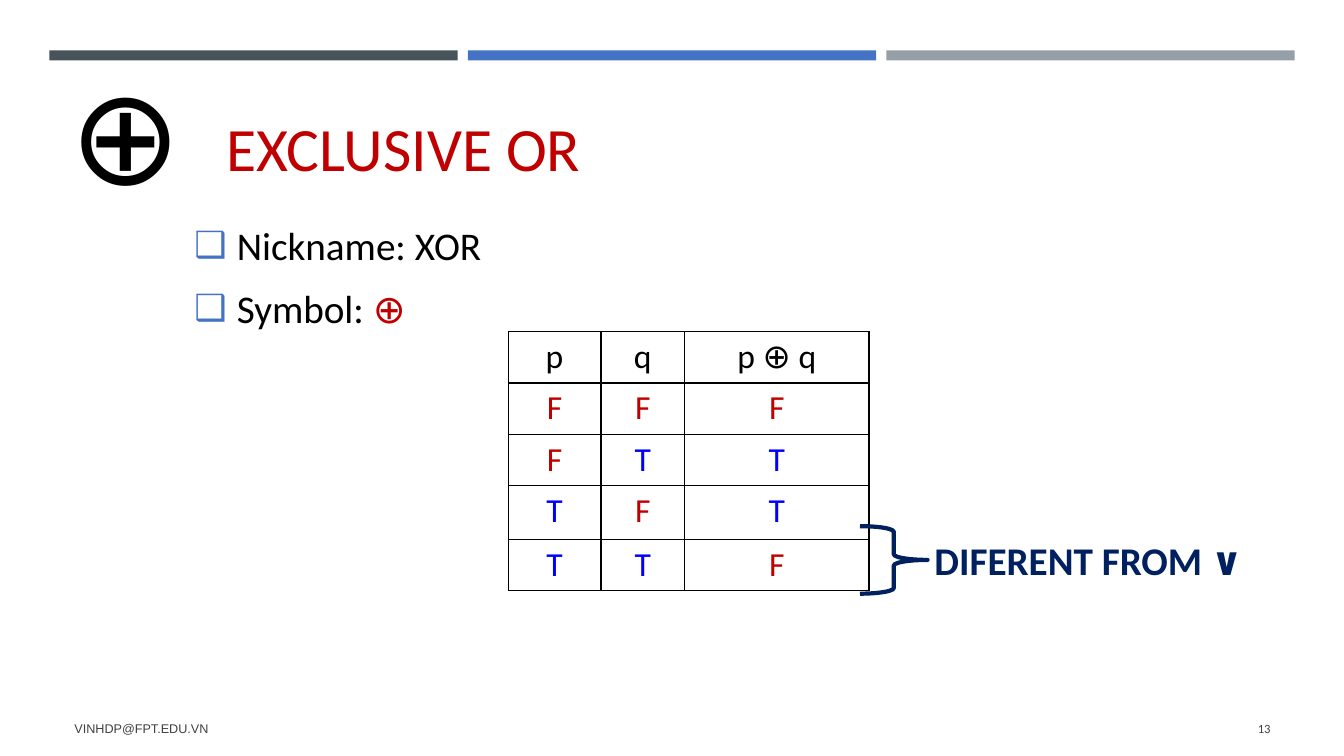
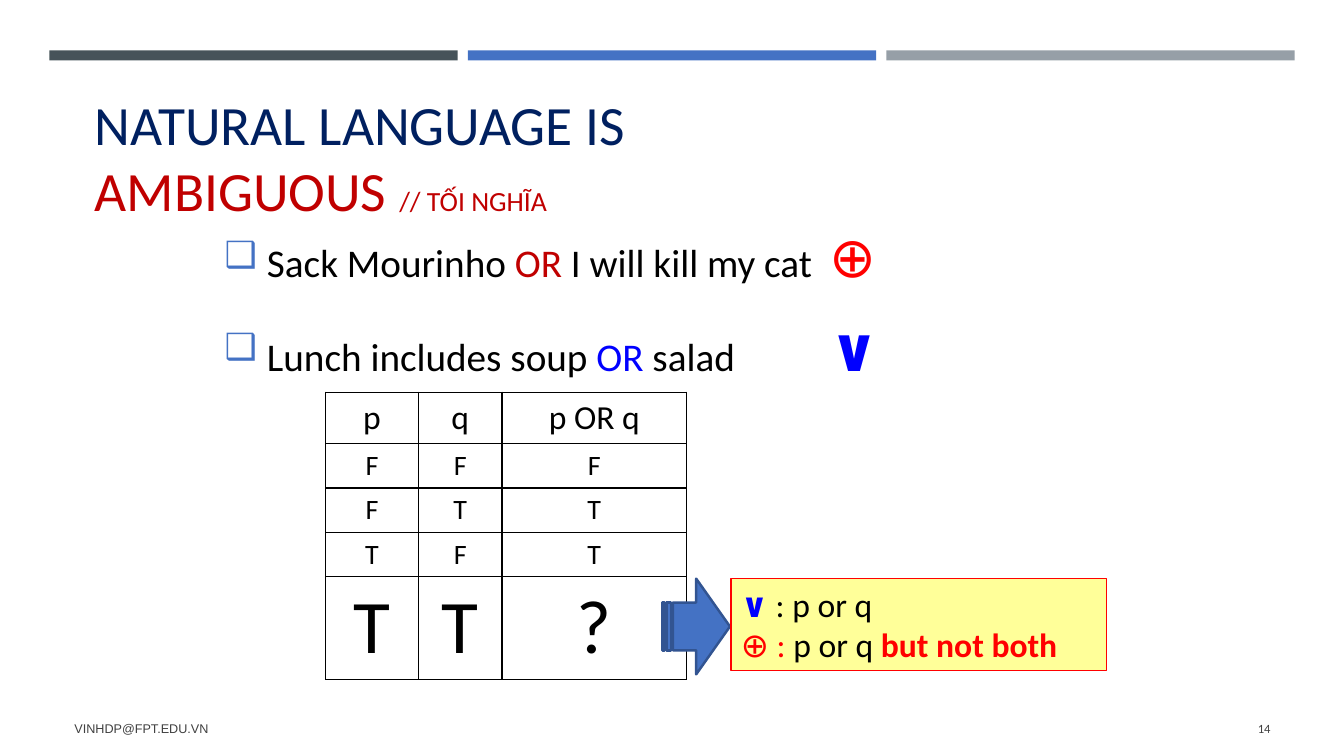
"""Build two slides on exclusive or and the ambiguity of natural language."""
from dataclasses import dataclass
from typing import Any, Optional

from lxml import etree
from pptx import Presentation
from pptx import util as u
from pptx.dml.color import RGBColor
from pptx.enum import shapes, text
from pptx.oxml import ns


@dataclass(frozen=True)
class Theme:
    font: str = "Calibri"
    footer_font: str = "Arial"
    black: str = "000000"
    grey: str = "404040"
    slate: str = "465359"
    silver: str = "969FA7"
    accent: str = "4472C4"
    accent_dark: str = "325491"
    navy: str = "002060"
    crimson: str = "C00000"
    red: str = "FF0000"
    blue: str = "0000FF"
    yellow: str = "FFFF99"
    title: float = 44
    long_title: float = 39.6
    title_note: float = 19.8
    body: float = 28
    cell: float = 24
    small_cell: float = 20
    question: float = 54
    or_symbol: float = 44
    xor_symbol: float = 40
    emblem: float = 96
    footer: float = 9


THEME = Theme()


@dataclass(frozen=True)
class Box:
    left: float
    top: float
    width: float
    height: float

    def lengths(self) -> tuple:
        return tuple(u.Inches(v) for v in (self.left, self.top, self.width, self.height))


@dataclass(frozen=True)
class Span:
    words: str
    color: str = THEME.black
    size: Optional[float] = None
    bold: bool = False


@dataclass(frozen=True)
class Row:
    cells: str
    height: float
    size: float


CENTER = text.PP_ALIGN.CENTER
TOP, MIDDLE, BOTTOM = text.MSO_ANCHOR.TOP, text.MSO_ANCHOR.MIDDLE, text.MSO_ANCHOR.BOTTOM
BANDS = (THEME.slate, THEME.accent, THEME.silver)
COLUMNS = (0.92, 0.83, 1.83)
TRUTH_COLORS = {"F": THEME.crimson, "T": THEME.blue}


def rgb(color: str) -> RGBColor:
    return RGBColor.from_string(color)


def add_bullet(para: Any, tab: Optional[float]) -> None:
    """Give a paragraph a hanging square bullet and an optional tab stop."""
    properties = para._p.get_or_add_pPr()
    properties.set("marL", str(u.Inches(0.42)))
    properties.set("indent", str(-u.Inches(0.42)))

    def child(parent: Any, tag: str, **attributes: str) -> Any:
        return etree.SubElement(parent, ns.qn(tag), **attributes)

    child(child(properties, "a:buClr"), "a:srgbClr", val=THEME.accent)
    child(properties, "a:buSzPct", val="92000")
    child(properties, "a:buFont", typeface=THEME.font)
    child(properties, "a:buChar", char="❑")
    if tab is not None:
        child(child(properties, "a:tabLst"), "a:tab", pos=str(u.Inches(tab)), algn="l")


def write(frame: Any, paras: list[list[Span]], *, size: float, font: str = THEME.font,
          align: Any = text.PP_ALIGN.LEFT, anchor: Any = TOP, wrap: bool = True,
          inset_top: float = 0.05, inset_bottom: float = 0.05, bullet: bool = False,
          tab: Optional[float] = None, before: float = 0, after: float = 0) -> None:
    """Fill a text frame with formatted paragraphs."""
    frame.auto_size = text.MSO_AUTO_SIZE.NONE
    frame.word_wrap = wrap
    frame.vertical_anchor = anchor
    frame.margin_top, frame.margin_bottom = u.Inches(inset_top), u.Inches(inset_bottom)
    for index, spans in enumerate(paras):
        para = frame.add_paragraph() if index else frame.paragraphs[0]
        if bullet:
            add_bullet(para, tab)
        para.alignment = align
        para.space_before = u.Pt(before if index else 0)
        para.space_after = u.Pt(after)
        for span in spans:
            run = para.add_run()
            run.text = span.words
            run.font.name = font
            run.font.size = u.Pt(span.size or size)
            run.font.bold = span.bold
            run.font.color.rgb = rgb(span.color)


def add_text(owner: Any, box: Box, paras: list[list[Span]], **style: Any) -> None:
    write(owner.shapes.add_textbox(*box.lengths()).text_frame, paras, **style)


def add_shape(owner: Any, kind: Any, box: Box, *, fill: Optional[str] = None,
              line: Optional[str] = None, weight: float = 1) -> Any:
    """Draw a preset shape without shadow."""
    shape = owner.shapes.add_shape(kind, *box.lengths())
    shape.shadow.inherit = False
    if fill:
        shape.fill.solid()
        shape.fill.fore_color.rgb = rgb(fill)
    else:
        shape.fill.background()
    if line:
        shape.line.color.rgb = rgb(line)
        shape.line.width = u.Pt(weight)
    else:
        shape.line.fill.background()
    return shape


def add_borders(cell: Any) -> None:
    """Draw a thin black line on the four sides of a cell."""
    properties = cell._tc.get_or_add_tcPr()
    for index, side in enumerate(("lnL", "lnR", "lnT", "lnB")):
        line = etree.Element(ns.qn(f"a:{side}"), w=str(u.Pt(1)))
        fill = etree.SubElement(line, ns.qn("a:solidFill"))
        etree.SubElement(fill, ns.qn("a:srgbClr"), val=THEME.black)
        properties.insert(index, line)


def add_truth_table(slide: Any, left: float, top: float, result: str, rows: list[Row],
                    colors: dict[str, str]) -> None:
    """Draw a truth table whose header names p, q and the result."""
    height = sum(row.height for row in rows)
    box = Box(left, top, sum(COLUMNS), height)
    table = slide.shapes.add_table(len(rows), len(COLUMNS), *box.lengths()).table
    table.first_row = table.horz_banding = False
    for column, width in zip(table.columns, COLUMNS):
        column.width = u.Inches(width)
    for index, row in enumerate(rows):
        table.rows[index].height = u.Inches(row.height)
        for cell, words in zip(table.rows[index].cells, row.cells or ("p", "q", result)):
            cell.fill.background()
            add_borders(cell)
            cell.margin_top = cell.margin_bottom = u.Inches(0.05)
            span = Span(words, colors.get(words, THEME.black))
            write_cell(cell, span, row.size)


def write_cell(cell: Any, span: Span, size: float) -> None:
    para = cell.text_frame.paragraphs[0]
    para.alignment = CENTER
    run = para.add_run()
    run.text = span.words
    run.font.name = THEME.font
    run.font.size = u.Pt(size)
    run.font.color.rgb = rgb(span.color)


def add_slide(deck: Any, number: int, box: Box, title: list[Span], **style: Any) -> Any:
    """Add a slide with its bands, title, footer and number."""
    slide = deck.slides.add_slide(deck.slide_layouts[5])
    for index, color in enumerate(BANDS):
        add_shape(slide, shapes.MSO_SHAPE.RECTANGLE,
                  Box(0.49 + 4.15 * index, 0.5, 4.05, 0.1), fill=color)
    heading = slide.shapes.title
    heading.left, heading.top, heading.width, heading.height = box.lengths()
    write(heading.text_frame, [title], anchor=BOTTOM, inset_top=0, inset_bottom=0, **style)
    add_text(slide, Box(0.64, 7.03, 7.56, 0.4), [[Span("VINHDP@FPT.EDU.VN", THEME.grey)]],
             size=THEME.footer, font=THEME.footer_font, anchor=MIDDLE)
    add_text(slide, Box(11.55, 7.03, 1.15, 0.4), [[Span(str(number), THEME.grey)]],
             size=THEME.footer, align=text.PP_ALIGN.RIGHT, anchor=MIDDLE)
    return slide


def build_exclusive_or(deck: Any) -> None:
    slide = add_slide(deck, 13, Box(0.23, 0.57, 7.68, 1.25),
                      [Span("EXCLUSIVE OR ", THEME.crimson)], size=THEME.title, align=CENTER)
    add_text(slide, Box(1.83, 1.71, 7.41, 3.84),
             [[Span("Nickname: XOR")], [Span("Symbol: "), Span("⊕", THEME.crimson)]],
             size=THEME.body, bullet=True, inset_top=0.49, before=5, after=6)
    heights = (0.51, 0.51, 0.51, 0.53, 0.51)
    rows = [Row(cells, height, THEME.cell)
            for cells, height in zip(("", "FFF", "FTT", "TFT", "TTF"), heights)]
    add_truth_table(slide, 5.04, 3.29, "p ⊕ q", rows, TRUTH_COLORS)
    remark = slide.shapes.add_group_shape()
    add_shape(remark, shapes.MSO_SHAPE.RIGHT_BRACE, Box(8.53, 5.22, 0.67, 0.67),
              line=THEME.navy, weight=3)
    add_text(remark, Box(9.17, 5.27, 3.26, 0.57),
             [[Span("DIFERENT FROM ∨", THEME.navy, bold=True)]], size=THEME.body, wrap=False)
    add_text(slide, Box(0.59, 0.45, 1.24, 1.72), [[Span("⊕")]], size=THEME.emblem, wrap=False)


def build_ambiguity(deck: Any) -> None:
    slide = add_slide(deck, 14, Box(0.84, 0.96, 6.31, 1.25),
                      [Span("NATURAL LANGUAGE IS ", THEME.navy),
                       Span("AMBIGUOUS ", THEME.crimson),
                       Span("// TỐI NGHĨA", THEME.crimson, THEME.title_note)],
                      size=THEME.long_title)
    add_text(slide, Box(2.13, 1.97, 9.37, 3.84),
             [[Span("Sack Mourinho "), Span("OR ", THEME.crimson),
               Span("I will kill my cat\t"), Span("⊕", THEME.red, THEME.xor_symbol)],
              [Span("Lunch includes soup "), Span("OR ", THEME.blue),
               Span("salad\t"), Span("∨", THEME.blue, THEME.or_symbol, True)]],
             size=THEME.body, bullet=True, tab=6, inset_top=0.23, before=9, after=6)
    rows = [Row("", 0.51, THEME.cell),
            *(Row(cells, 0.44, THEME.small_cell) for cells in ("FFF", "FTT", "TFT")),
            Row("TT?", 1.02, THEME.question)]
    add_truth_table(slide, 3.23, 3.89, "p OR q", rows, {})
    add_shape(slide, shapes.MSO_SHAPE.STRIPED_RIGHT_ARROW, Box(6.57, 5.74, 0.67, 0.95),
              fill=THEME.accent, line=THEME.accent_dark, weight=1.75)
    callout = add_shape(slide, shapes.MSO_SHAPE.RECTANGLE, Box(7.25, 5.74, 3.72, 0.91),
                        fill=THEME.yellow, line=THEME.red, weight=0.75)
    write(callout.text_frame,
          [[Span("∨ ", THEME.blue, bold=True), Span(": p or q")],
           [Span("⊕ : ", THEME.red), Span("p or q "),
            Span("but not both", THEME.red, bold=True)]], size=THEME.cell)


def main() -> None:
    deck = Presentation()
    deck.slide_width, deck.slide_height = u.Inches(13.33), u.Inches(7.5)
    build_exclusive_or(deck)
    build_ambiguity(deck)
    deck.save("out.pptx")


if __name__ == "__main__":
    main()
